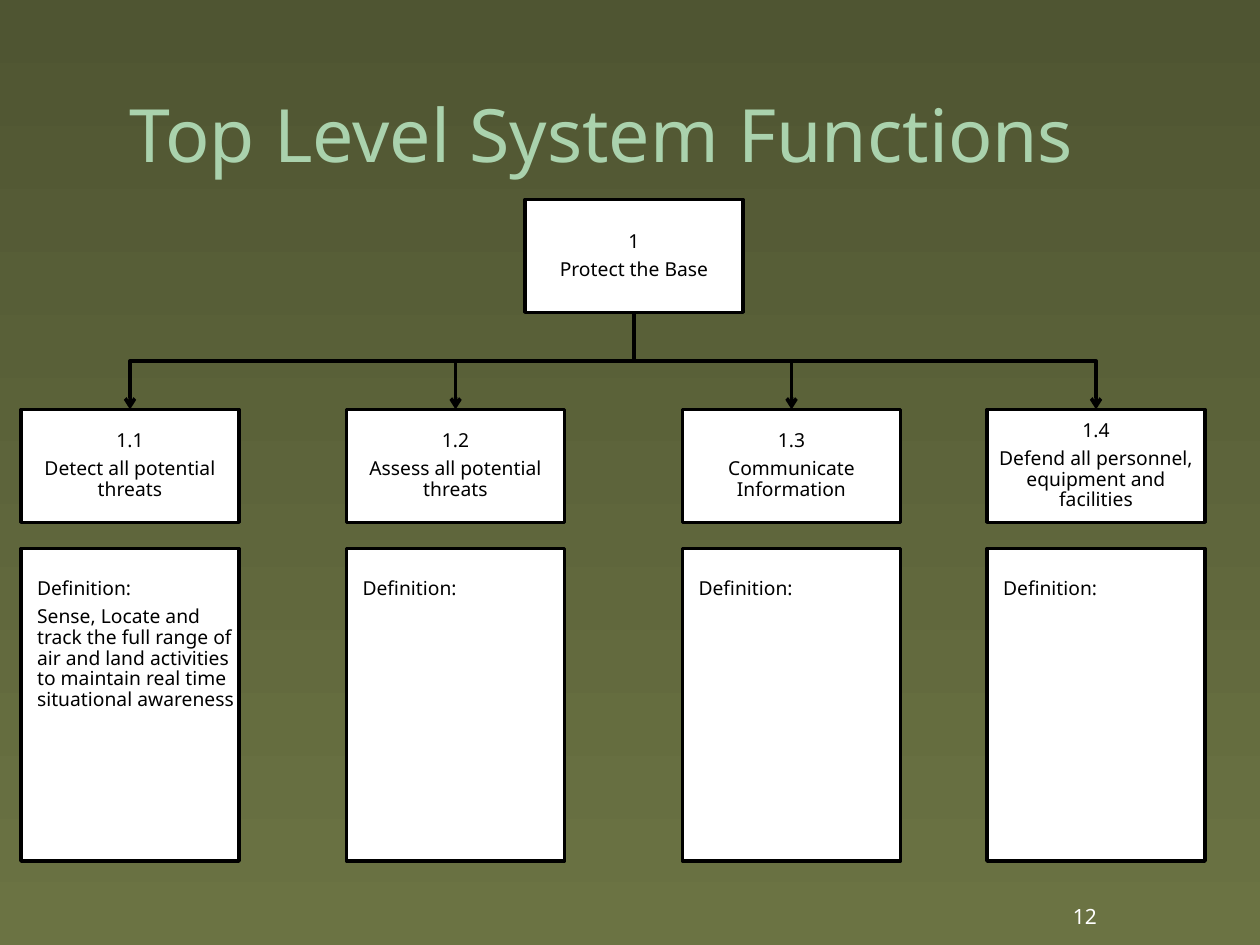
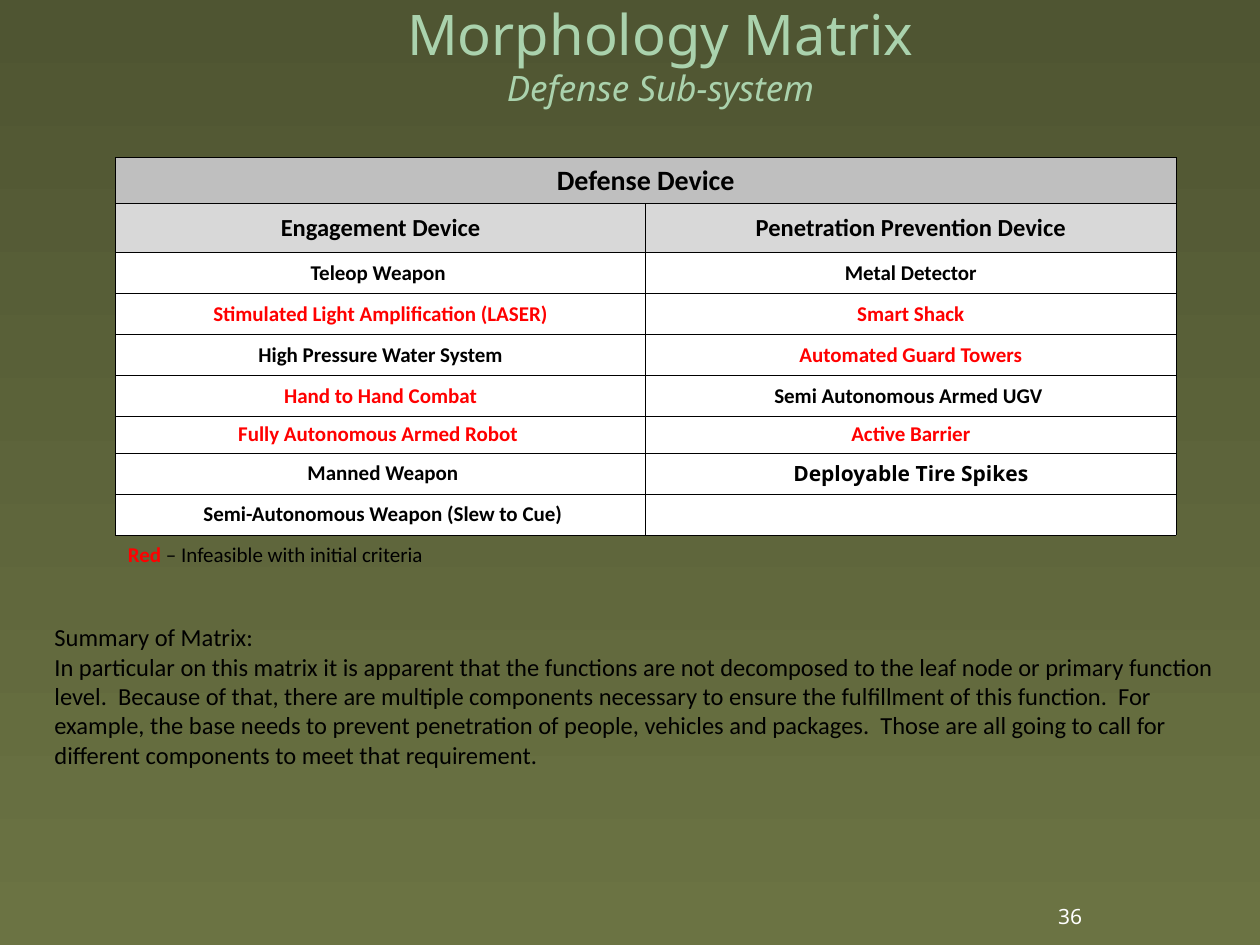
from lxml.etree import SubElement
from pptx import Presentation
from pptx.dml.color import RGBColor
from pptx.enum.shapes import MSO_CONNECTOR as LINK, MSO_SHAPE as SHAPE
from pptx.enum.text import MSO_ANCHOR as ANCHOR, PP_ALIGN as ALIGN
from pptx.oxml.ns import qn
from pptx.util import Pt

SANS, BODY = "Noto Sans", "Calibri"
BLACK, WHITE, RED = "000000", "FFFFFF", "FF0000"
MINT, DARK, OLIVE = "AAD2AD", "4F5532", "6B7343"
GREY, PALE = "BFBFBF", "D8D8D8"

BOX_W, BOX_H, DEF_H = 124.6, 64.5, 178.6
ROOT_X, ROOT_Y = 300, 114
ROW_Y, DEF_Y = 234, 313.4
FUNCS = [
    (12, "1.1", "Detect all potential threats",
     ["Sense, Locate and track the full range of air and land activities "
      "to maintain real time situational awareness"]),
    (198, "1.2", "Assess all potential threats", []),
    (390, "1.3", "Communicate Information", []),
    (564, "1.4", "Defend all personnel, equipment and facilities", []),
]

HEADS = ["Engagement Device", "Penetration Prevention Device"]
DEVICES = [
    ("Teleop Weapon ", "Metal Detector"),
    ("Stimulated Light Amplification (LASER)", "Smart Shack"),
    ("High Pressure Water System", "Automated Guard Towers"),
    ("Hand to Hand Combat", "Semi Autonomous Armed UGV "),
    ("Fully Autonomous Armed Robot ", "Active Barrier"),
    (" Manned Weapon", "Deployable Tire Spikes"),
    (" Semi-Autonomous Weapon (Slew to Cue)", ""),
]
UNFIT = {"Stimulated Light Amplification (LASER)", "Smart Shack",
         "Automated Guard Towers", "Hand to Hand Combat",
         "Fully Autonomous Armed Robot ", "Active Barrier"}
SPIKES = "Deployable Tire Spikes"
ROWS = [26.5, 28] + [23.4] * 4 + [21] + [23.4] * 2

SUMMARY = [
    "Summary of Matrix:",
    "In particular on this matrix it is apparent that the functions are not "
    "decomposed to the leaf node or primary function level.  Because of that, "
    "there are multiple components necessary to ensure the fulfillment of this "
    "function.  For example, the base needs to prevent penetration of people, "
    "vehicles and packages.  Those are all going to call for different "
    "components to meet that requirement.",
]


def rgb(code):
    return RGBColor.from_string(code)


def style(font, size, color, name=SANS, bold=False):
    font.size, font.name, font.bold = Pt(size), name, bold
    font.color.rgb = rgb(color)


def inset(item, left=0, top=0, right=0, bottom=0):
    item.margin_left, item.margin_top = Pt(left), Pt(top)
    item.margin_right, item.margin_bottom = Pt(right), Pt(bottom)


def write(frame, lines, size, color, name=SANS, align=ALIGN.LEFT):
    """Fill the frame with one paragraph per line."""
    for i, line in enumerate(lines):
        para = frame.add_paragraph() if i else frame.paragraphs[0]
        para.text, para.alignment = line, align
        style(para.font, size, color, name)


def text_box(slide, box):
    frame = slide.shapes.add_textbox(*map(Pt, box)).text_frame
    frame.word_wrap = True
    return frame


def title(slide, box, text, size, align=ALIGN.LEFT, sub=None):
    frame = text_box(slide, box)
    frame.vertical_anchor = ANCHOR.MIDDLE
    inset(frame, 38, 3, 3, 3)
    write(frame, [text], size, MINT, align=align)
    if sub:
        para = frame.paragraphs[0]
        para.add_line_break()
        run = para.add_run()
        run.text = sub
        run.font.size, run.font.italic = Pt(20), True


def number(slide, left, text):
    frame = text_box(slide, (left, 510, 40, 24))
    frame.vertical_anchor = ANCHOR.BOTTOM
    write(frame, [text], 12, WHITE)


def panel(slide, box, lines, align, anchor, left=0, top=0, right=0):
    """Add a white box with a black outline."""
    shape = slide.shapes.add_shape(SHAPE.RECTANGLE, *map(Pt, box))
    shape.shadow.inherit = False
    shape.fill.solid()
    shape.fill.fore_color.rgb = rgb(WHITE)
    shape.line.color.rgb = rgb(BLACK)
    shape.line.width = Pt(2)
    frame = shape.text_frame
    frame.word_wrap, frame.vertical_anchor = True, anchor
    inset(frame, left, top, right)
    write(frame, lines, 11, BLACK, align=align)
    for para in frame.paragraphs:
        para.line_spacing, para.space_after = 0.9, Pt(4)


def branch(slide, x1, y1, x2, y2):
    """Draw an elbow that leaves downward: a sideways one, turned."""
    mid_x, mid_y = (x1 + x2) / 2, (y1 + y2) / 2
    half_w, half_h = (y2 - y1) / 2, abs(x2 - x1) / 2
    side = 1 if x2 < x1 else -1
    link = slide.shapes.add_connector(
        LINK.ELBOW,
        Pt(mid_x - side * half_w), Pt(mid_y - half_h),
        Pt(mid_x + side * half_w), Pt(mid_y + half_h))
    link.line.color.rgb = rgb(BLACK)
    link.line.width = Pt(2)
    props = link._element.spPr
    turn = 90 if side == 1 else 270
    props.find(qn("a:xfrm")).set("rot", str(turn * 60000))
    SubElement(props.find(qn("a:ln")), qn("a:tailEnd"), type="arrow")
    SubElement(props, qn("a:effectLst"))


def tree(slide):
    mid = BOX_W / 2
    for x, *_ in FUNCS:
        branch(slide, ROOT_X + mid, ROOT_Y + BOX_H, x + mid, ROW_Y)
    nodes = [(ROOT_X, ROOT_Y, "1", "Protect the Base")]
    nodes += [(x, ROW_Y, code, name) for x, code, name, _ in FUNCS]
    for x, y, code, name in nodes:
        panel(slide, (x, y, BOX_W, BOX_H), [code, name],
              ALIGN.CENTER, ANCHOR.MIDDLE, left=3, right=3)
    for x, _, _, notes in FUNCS:
        panel(slide, (x, DEF_Y, BOX_W, DEF_H), ["Definition:"] + notes,
              ALIGN.LEFT, ANCHOR.TOP, left=9.2, top=17.5)


def paint(cell, fill):
    """Give a cell thin black borders and a fill."""
    props = cell._tc.get_or_add_tcPr()
    for edge in ("a:lnL", "a:lnR", "a:lnT", "a:lnB"):
        line = SubElement(props, qn(edge), w=str(Pt(0.5)))
        solid = SubElement(line, qn("a:solidFill"))
        SubElement(solid, qn("a:srgbClr"), val=BLACK)
    cell.fill.solid()
    cell.fill.fore_color.rgb = rgb(fill)


def matrix(slide, box):
    rows = [("Defense Device", ""), HEADS] + DEVICES
    looks = [(16, GREY), (14, PALE)] + [(12, WHITE)] * len(DEVICES)
    table = slide.shapes.add_table(len(rows), 2, *map(Pt, box)).table
    for i, (row, (size, fill)) in enumerate(zip(rows, looks)):
        table.rows[i].height = Pt(ROWS[i])
        for j, text in enumerate(row):
            cell = table.cell(i, j)
            paint(cell, fill)
            inset(cell)
            cell.vertical_anchor = ANCHOR.MIDDLE
            para = cell.text_frame.paragraphs[0]
            para.text, para.alignment = text, ALIGN.CENTER
            style(para.font, size, RED if text in UNFIT else BLACK,
                  SANS if text == SPIKES else BODY, bold=True)
    table.cell(0, 0).merge(table.cell(0, 1))


def legend(slide, box):
    para = text_box(slide, box).paragraphs[0]
    for text, color in (("Red ", RED), ("– Infeasible with initial criteria", BLACK)):
        run = para.add_run()
        run.text = text
        style(run.font, 12, color, BODY, bold=color == RED)


def backdrop(fill):
    fill.gradient()
    fill.gradient_angle = 270
    for stop, color in zip(fill.gradient_stops, (DARK, OLIVE)):
        stop.color.rgb = rgb(color)


def main():
    deck = Presentation()
    deck.slide_width, deck.slide_height = Pt(720), Pt(540)
    backdrop(deck.slide_master.background.fill)
    blank = deck.slide_layouts[6]

    slide = deck.slides.add_slide(blank)
    title(slide, (36, 21, 648, 110), "Top Level System Functions", 42)
    tree(slide)
    number(slide, 606, "12")

    slide = deck.slides.add_slide(blank)
    title(slide, (0, -6, 720, 74), "Morphology Matrix", 32,
          ALIGN.CENTER, "Defense Sub-system")
    matrix(slide, (66, 90, 606, sum(ROWS)))
    legend(slide, (66, 306, 306, 22))
    write(text_box(slide, (24, 352, 696, 177)), SUMMARY, 14, BLACK, BODY)
    number(slide, 597.5, "36")

    deck.save("out.pptx")


if __name__ == "__main__":
    main()
